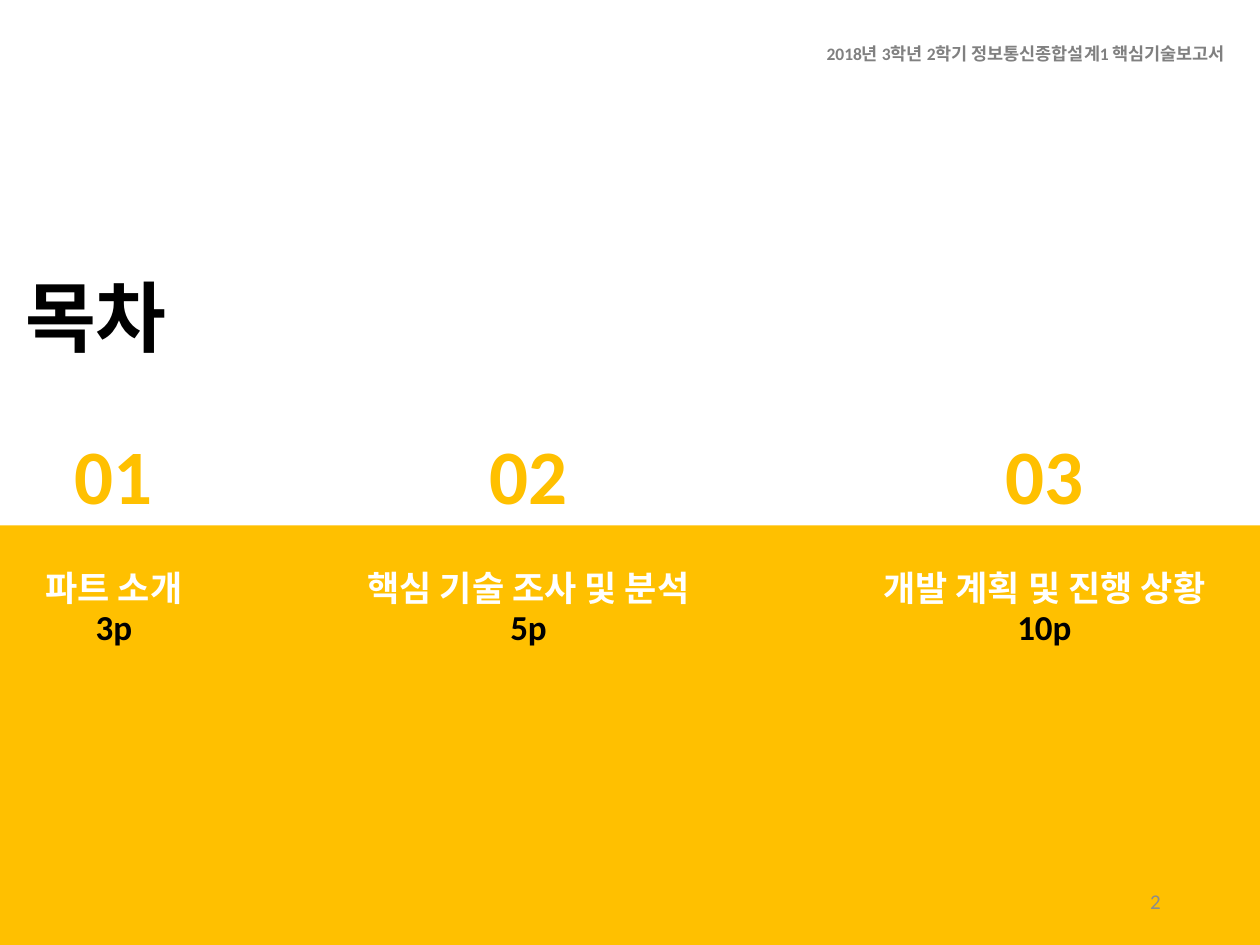
from pptx import Presentation
from pptx.dml.color import RGBColor
from pptx.enum.shapes import MSO_SHAPE
from pptx.enum.text import MSO_ANCHOR, PP_ALIGN
from pptx.oxml.ns import qn
from pptx.util import Inches, Pt

RECT = MSO_SHAPE.RECTANGLE
TOP, MIDDLE = MSO_ANCHOR.TOP, MSO_ANCHOR.MIDDLE
LEFT, CENTER, RIGHT = PP_ALIGN.LEFT, PP_ALIGN.CENTER, PP_ALIGN.RIGHT
GOLD = RGBColor(0xFF, 0xC0, 0x00)
WHITE = RGBColor(0xFF, 0xFF, 0xFF)
BLACK = RGBColor(0, 0, 0)
GRAY = RGBColor(0x80, 0x80, 0x80)
SILVER = RGBColor(0x8C, 0x8C, 0x8C)
PLAIN = "{2D5ABB26-0587-4C30-8999-92F81FD0307C}"
COLS = (1.81, 4.77, 3.42)


def write(frame, text, size, color, align, bold=True, face="Calibri"):
    frame.text = text
    para = frame.paragraphs[0]
    para.alignment = align
    font = para.runs[0].font
    font.name, font.size, font.bold = face, Pt(size), bold
    font.color.rgb = color


def add_band(slide, box):
    band = slide.shapes.add_shape(RECT, *map(Inches, box))
    band.shadow.inherit = False
    band.fill.solid()
    band.fill.fore_color.rgb = GOLD
    band.line.fill.background()


def add_label(slide, box, text, size, color, align, anchor=TOP, **style):
    frame = slide.shapes.add_textbox(*map(Inches, box)).text_frame
    frame.word_wrap = True
    frame.vertical_anchor = anchor
    write(frame, text, size, color, align, **style)


def add_row(slide, box, texts, size, color, fill=None):
    shape = slide.shapes.add_table(1, len(texts), *map(Inches, box))
    table = shape.table
    table.first_row = table.horz_banding = False
    next(shape._element.iter(qn("a:tableStyleId"))).text = PLAIN
    for col, width in zip(table.columns, COLS):
        col.width = Inches(width * box[2] / sum(COLS))
    for cell, text in zip(table.rows[0].cells, texts):
        if fill is None:
            cell.fill.background()
        else:
            cell.fill.solid()
            cell.fill.fore_color.rgb = fill
        write(cell.text_frame, text, size, color, CENTER)


def add_index(slide, box):
    left, top, width = box
    titles = ("파트 소개", "핵심 기술 조사 및 분석", "개발 계획 및 진행 상황")
    add_row(slide, (left, top + 1.03, width, 0.45), titles, 20, WHITE, GOLD)
    add_row(slide, (left, top, width, 0.8), ("01", "02", "03"), 44, GOLD)
    add_row(slide, (left, top + 1.4, width, 0.45), ("3p", "5p", "10p"), 20, BLACK)


deck = Presentation()
deck.slide_width, deck.slide_height = Inches(10), Inches(7.5)
slide = deck.slides.add_slide(deck.slide_layouts[6])
add_band(slide, (0, 4.17, 10, 3.33))
add_label(slide, (0.1, 2.09, 5.35, 0.84), "목차", 44, BLACK, LEFT, face="Arial")
add_index(slide, (0, 3.37, 10))
add_label(slide, (6.13, 0.29, 3.69, 0.27),
          "2018년 3학년 2학기 정보통신종합설계1 핵심기술보고서", 10, GRAY, RIGHT)
add_label(slide, (7.06, 6.95, 2.25, 0.4), "2", 12, SILVER, RIGHT, MIDDLE, bold=False)
deck.save("out.pptx")
